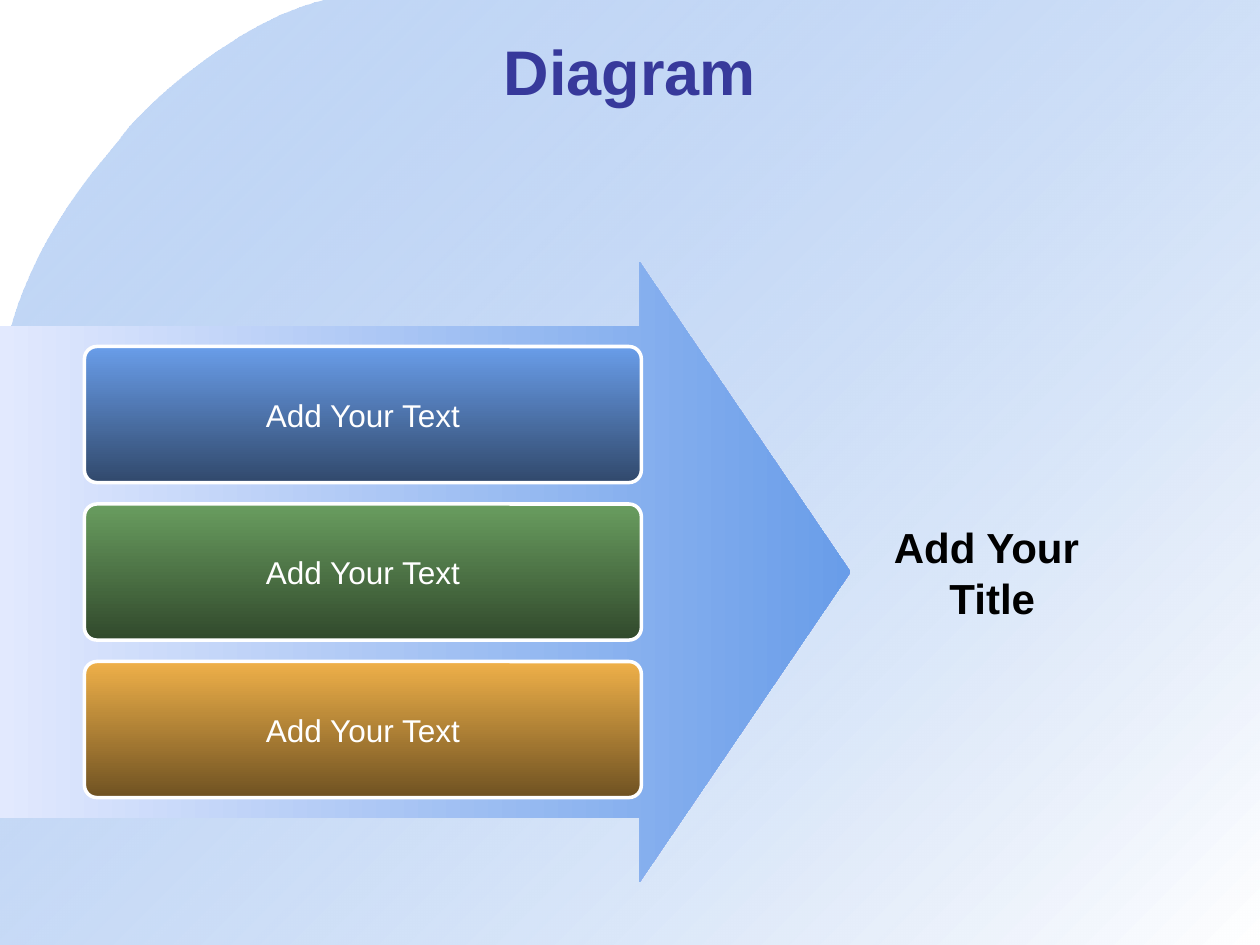
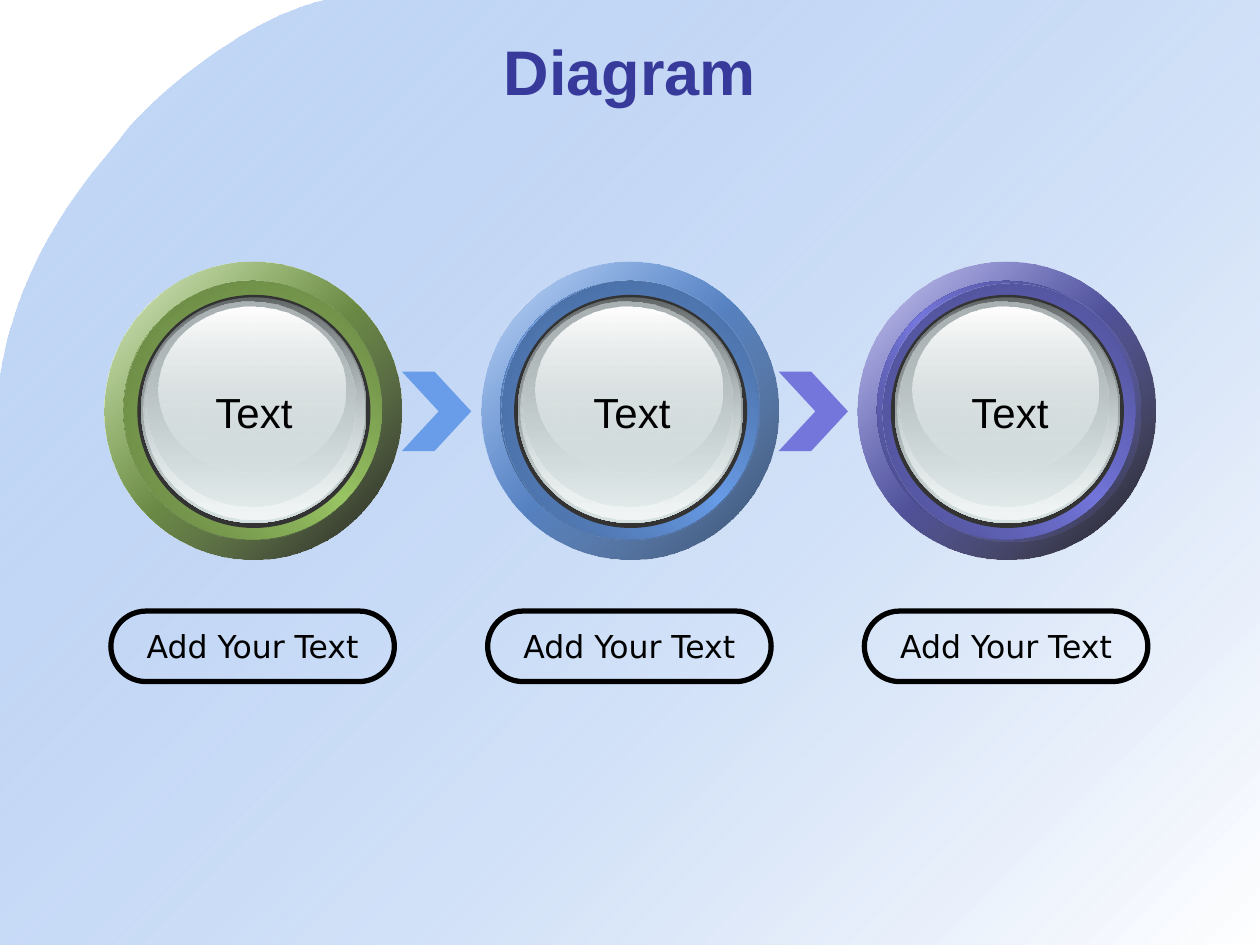
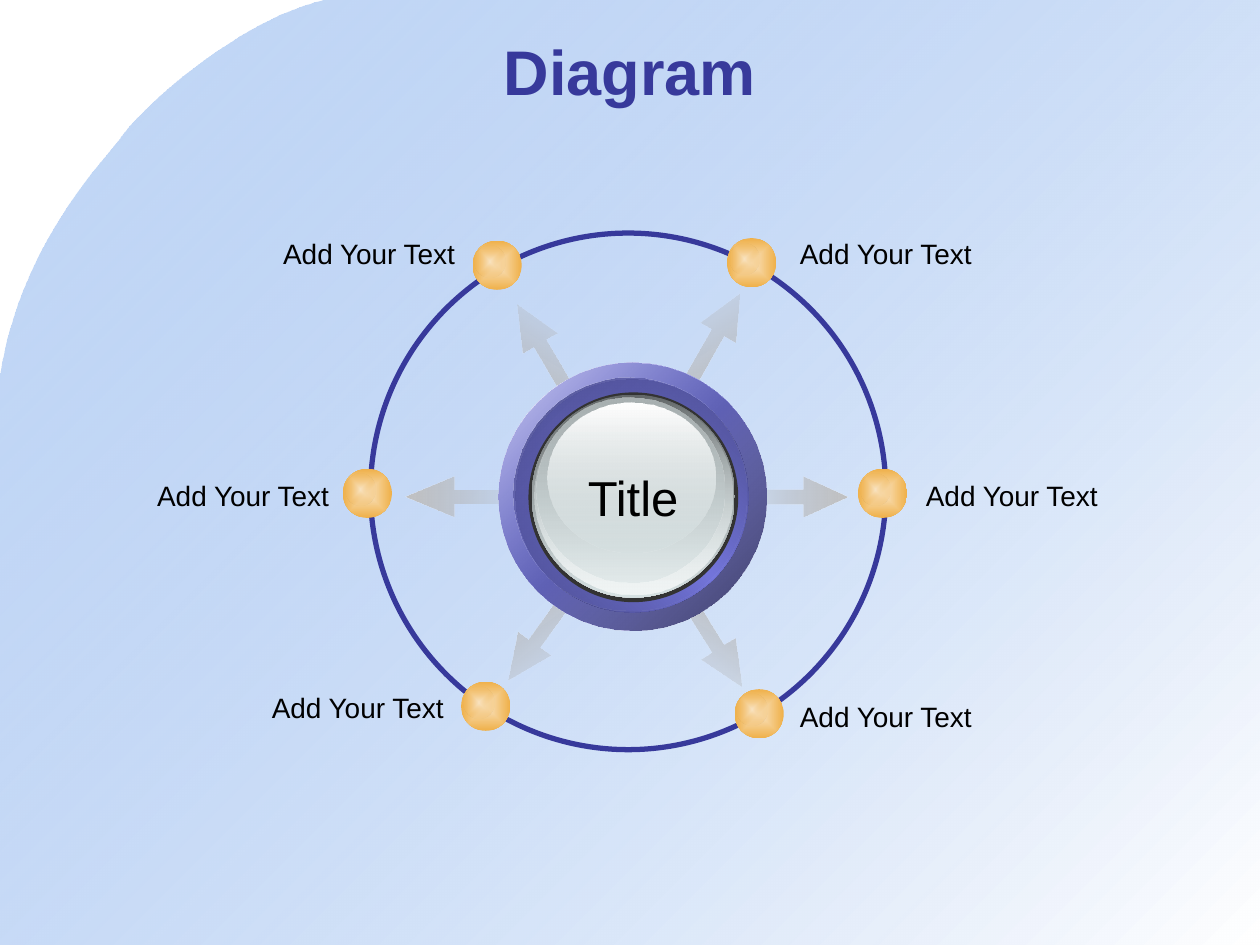
"""Build three diagram slides: a block arrow, a chain of medallions and a hub with spokes."""
from dataclasses import dataclass

from pptx import Presentation
from pptx.dml.color import RGBColor as RGB
from pptx.enum.shapes import MSO_SHAPE as SHAPE
from pptx.enum.text import MSO_ANCHOR as ANCHOR, PP_ALIGN as ALIGN
from pptx.oxml import parse_xml
from pptx.oxml.ns import nsdecls, qn
from pptx.util import Inches, Pt


@dataclass(frozen=True)
class Theme:
    """Colours and type styles shared by all slides."""
    white: str = "FFFFFF"
    black: str = "000000"
    navy: str = "37399B"
    sky: str = "699DE9"
    mist: str = "E2E9FE"
    forest: str = "699D5F"
    leaf: str = "9AC664"
    violet: str = "7476DC"
    amber: str = "EFB049"
    cream: str = "FAE4C2"
    charcoal: str = "333333"
    steel: str = "636869"
    pewter: str = "AAB2B3"
    glass: str = "D6E1E2"
    frost: str = "F1F5F5"
    grey: str = "ABABAB"
    silver: str = "C0C0C0"

    def type_style(self, role):
        name, size, bold = {
            "title": ("Arial", 36, True),
            "heading": ("Arial", 24, True),
            "hub": ("Arial", 28, False),
            "medallion": ("Arial", 24, False),
            "bar": ("Arial", 18, False),
            "pill": ("DejaVu Sans", 18, False),
            "label": ("Arial", 16, False),
        }[role]
        return {"name": name, "size": Pt(size), "bold": bold}


@dataclass(frozen=True)
class Gradient:
    """Colour stops of (position, colour, opacity) with an angle, or a centred rectangle."""
    stops: tuple
    angle: float = 0
    centred: bool = False

    def element(self):
        stops = "".join(
            f'<a:gs pos="{pos * 1000}"><a:srgbClr val="{colour}">'
            f'<a:alpha val="{opacity * 1000}"/></a:srgbClr></a:gs>'
            for pos, colour, opacity in self.stops)
        course = f'<a:lin ang="{round(self.angle * 60000)}" scaled="0"/>'
        if self.centred:
            course = ('<a:path path="rect"><a:fillToRect l="50000" t="50000" '
                      'r="50000" b="50000"/></a:path>')
        return parse_xml(f'<a:gradFill {nsdecls("a")} rotWithShape="0">'
                         f'<a:gsLst>{stops}</a:gsLst>{course}</a:gradFill>')


def blend(start, end, angle=0, opacity=(100, 100), centred=False):
    return Gradient(((0, start, opacity[0]), (100, end, opacity[1])), angle, centred)


def band(edge, middle, angle):
    return Gradient(((0, edge, 100), (50, middle, 100), (100, edge, 100)), angle)


def shade(colour, factor):
    return "".join(f"{round(channel * factor):02X}" for channel in RGB.from_string(colour))


def bezier(start, first, second, end, steps=24):
    for step in range(1, steps + 1):
        t = step / steps
        yield tuple((1 - t) ** 3 * a + 3 * t * (1 - t) ** 2 * b + 3 * t * t * (1 - t) * c + t ** 3 * d
                    for a, b, c, d in zip(start, first, second, end))


class Deck:
    """Holds the theme and the current slide, and draws each kind of element."""

    def __init__(self, theme):
        self.theme = theme
        self.show = Presentation()
        self.show.slide_width, self.show.slide_height = Inches(10), Inches(7.5)
        self.layout = self.show.slide_layouts[6]
        self.slide = None

    def new_slide(self, title):
        first = self.slide is None
        self.slide = self.show.slides.add_slide(self.layout)
        if first:
            self.backdrop()
        self.label(title, "title", 0.5, 0.25, 9, 0.62, color=self.theme.navy,
                   wrap=True, anchor=ANCHOR.MIDDLE)

    def backdrop(self):
        for placeholder in list(self.layout.placeholders):
            self.layout.shapes.element.remove(placeholder.element)
        top, bend, foot = (2.58, 0), (0.98, 1.07), (0, 3.01)
        outline = [*bezier(top, (1.9, 0.16), (1.16, 0.83), bend),
                   *bezier(bend, (0.8, 1.32), (0.16, 1.94), foot),
                   (0, 7.5), (10, 7.5), (10, 0)]
        builder = self.slide.shapes.build_freeform(Inches(top[0]), Inches(top[1]))
        builder.add_line_segments([(Inches(x), Inches(y)) for x, y in outline])
        sweep = builder.convert_to_shape()
        self.paint(sweep, blend(self.theme.sky, self.theme.white, 45, (39, 100)))
        self.layout.shapes.element.append(sweep.element)

    def paint(self, shape, fill=None, line=None):
        shape.shadow.inherit = False
        if fill is None:
            shape.fill.background()
        else:
            shape.fill.solid()
            if isinstance(fill, Gradient):
                properties = shape.element.spPr
                properties.replace(properties.find(qn("a:solidFill")), fill.element())
            else:
                shape.fill.fore_color.rgb = RGB.from_string(fill)
        if line is None:
            shape.line.fill.background()
        else:
            color, width = line
            shape.line.color.rgb = RGB.from_string(color)
            shape.line.width = Pt(width)

    def shape(self, kind, left, top, width, height, fill=None, line=None, adjust=(), turn=0):
        shape = self.slide.shapes.add_shape(kind, *map(Inches, (left, top, width, height)))
        for index, value in enumerate(adjust):
            shape.adjustments[index] = value
        shape.rotation = turn
        self.paint(shape, fill, line)
        return shape

    def set_text(self, shape, text, role, color, align=ALIGN.CENTER, anchor=ANCHOR.MIDDLE, wrap=False):
        frame = shape.text_frame
        frame.text = text
        for key, value in {"word_wrap": wrap, "vertical_anchor": anchor}.items():
            setattr(frame, key, value)
        for paragraph in frame.paragraphs:
            paragraph.alignment = align
            for run in paragraph.runs:
                for key, value in self.theme.type_style(role).items():
                    setattr(run.font, key, value)
                run.font.color.rgb = RGB.from_string(color)

    def label(self, text, role, left, top, width, height, color=None,
              align=ALIGN.CENTER, anchor=ANCHOR.TOP, wrap=False):
        box = self.slide.shapes.add_textbox(*map(Inches, (left, top, width, height)))
        self.set_text(box, text, role, color or self.theme.black, align, anchor, wrap)

    def medallion(self, left, top, color, rim_end, scale=1.0, sheen=(0, 0)):
        t = self.theme
        layers = [
            (0, 0, 2.36, 2.36, band(t.white, color, 45)),
            (0, 0, 2.36, 2.36, blend(color, rim_end[0], 45, (32, rim_end[1]))),
            (0.15, 0.15, 2.05, 2.05, band(shade(color, 0.54), color, 315)),
            (0.15 + sheen[0], 0.15 + sheen[1], 2.05, 2.05,
             blend(shade(color, 0.636), color, 45, (100, 0))),
            (0.26, 0.26, 1.85, 1.85, t.charcoal),
            (0.29, 0.28, 1.79, 1.79, blend(t.steel, t.glass, 90)),
            (0.31, 0.29, 1.75, 1.75, blend(t.glass, t.frost, 90, (0, 100))),
            (0.33, 0.31, 1.66, 1.63, blend(t.pewter, t.glass, 90, (100, 48))),
            (0.43, 0.35, 1.48, 1.32, blend(t.white, t.glass, 90, (100, 38))),
        ]
        for dx, dy, width, height, fill in layers:
            self.shape(SHAPE.OVAL, left + dx * scale, top + dy * scale,
                       width * scale, height * scale, fill)

    def bead(self, left, top):
        t = self.theme
        self.shape(SHAPE.OVAL, left, top, 0.39, 0.39, blend(t.cream, t.amber, centred=True))
        self.shape(SHAPE.OVAL, left + 0.02, top + 0.04, 0.24, 0.25,
                   blend(t.cream, t.amber, opacity=(100, 0), centred=True))


def block_arrow_slide(deck):
    t = deck.theme
    deck.new_slide("Diagram")
    deck.shape(SHAPE.RIGHT_ARROW, 0, 2.08, 6.75, 4.92, blend(t.mist, t.sky), adjust=(0.793, 0.34))
    for row, color in enumerate((t.sky, t.forest, t.amber)):
        bar = deck.shape(SHAPE.ROUNDED_RECTANGLE, 0.67, 2.75 + 1.25 * row, 4.42, 1.08,
                         blend(color, shade(color, 0.465), 90), (t.white, 2), (0.091,))
        deck.set_text(bar, "Add Your Text", "bar", t.white)
    deck.label("Add Your \nTitle", "heading", 6.5, 3.83, 2.75, 1.42,
               anchor=ANCHOR.MIDDLE, wrap=True)


def chain_slide(deck):
    t = deck.theme
    pitch = 2.99
    deck.new_slide("Diagram")
    for step, color in enumerate((t.sky, t.violet)):
        deck.shape(SHAPE.CHEVRON, 3.19 + pitch * step, 2.95, 0.55, 0.63, color, adjust=(0.53,))
    stages = (
        (t.leaf, (t.black, 90), (0, 0)),
        (t.sky, (shade(t.sky, 0.465), 100), (0.01, 0)),
        (t.violet, (t.black, 90), (0.04, 0.02)),
    )
    for step, (color, rim_end, sheen) in enumerate(stages):
        shift = pitch * step
        deck.medallion(0.83 + shift, 2.08, color, rim_end, sheen=sheen)
        pill = deck.shape(SHAPE.ROUNDED_RECTANGLE, 0.88 + shift, 4.85, 2.25, 0.56,
                          line=(t.black, 3), adjust=(0.5,))
        deck.set_text(pill, "Add Your Text", "pill", t.black)
        deck.label("Text", "medallion", 1.59 + 3 * step, 3.02, 0.85, 0.5)


def hub_slide(deck):
    t = deck.theme
    deck.new_slide("Diagram")
    arrows = (
        (5.22, 2.55, 0.87, 299.6), (5.22, 4.92, 0.87, 57.8), (3.89, 2.63, 0.87, 239.5),
        (3.85, 4.88, 0.87, 125.6), (5.86, 3.78, 0.87, 0), (3.22, 3.78, 0.94, 180),
    )
    for left, top, length, turn in arrows:
        deck.shape(SHAPE.RIGHT_ARROW, left, top, length, 0.32,
                   blend(t.grey, t.silver, -turn % 360, (0, 100)),
                   adjust=(0.352, 1.11 * length / 0.87), turn=turn)
    deck.shape(SHAPE.OVAL, 2.94, 1.85, 4.09, 4.1, line=(t.navy, 3))
    spokes = (
        ((3.75, 1.91), (2.1, 1.83), ALIGN.RIGHT),
        ((2.72, 3.72), (1.1, 3.75), ALIGN.RIGHT),
        ((3.66, 5.41), (2.01, 5.43), ALIGN.RIGHT),
        ((5.77, 1.89), (6.25, 1.83), ALIGN.LEFT),
        ((6.81, 3.72), (7.25, 3.75), ALIGN.LEFT),
        ((5.83, 5.47), (6.25, 5.5), ALIGN.LEFT),
    )
    for bead, caption, align in spokes:
        deck.bead(*bead)
        deck.label("Add Your Text", "label", *caption, 1.61, 0.37, align=align)
    deck.medallion(3.96, 2.88, t.violet, (shade(t.violet, 0.465), 100), 0.9, (-0.02, -0.02))
    deck.label("Title", "hub", 4.56, 3.66, 0.93, 0.57)


def main():
    deck = Deck(Theme())
    for build in (block_arrow_slide, chain_slide, hub_slide):
        build(deck)
    deck.show.save("out.pptx")


if __name__ == "__main__":
    main()
